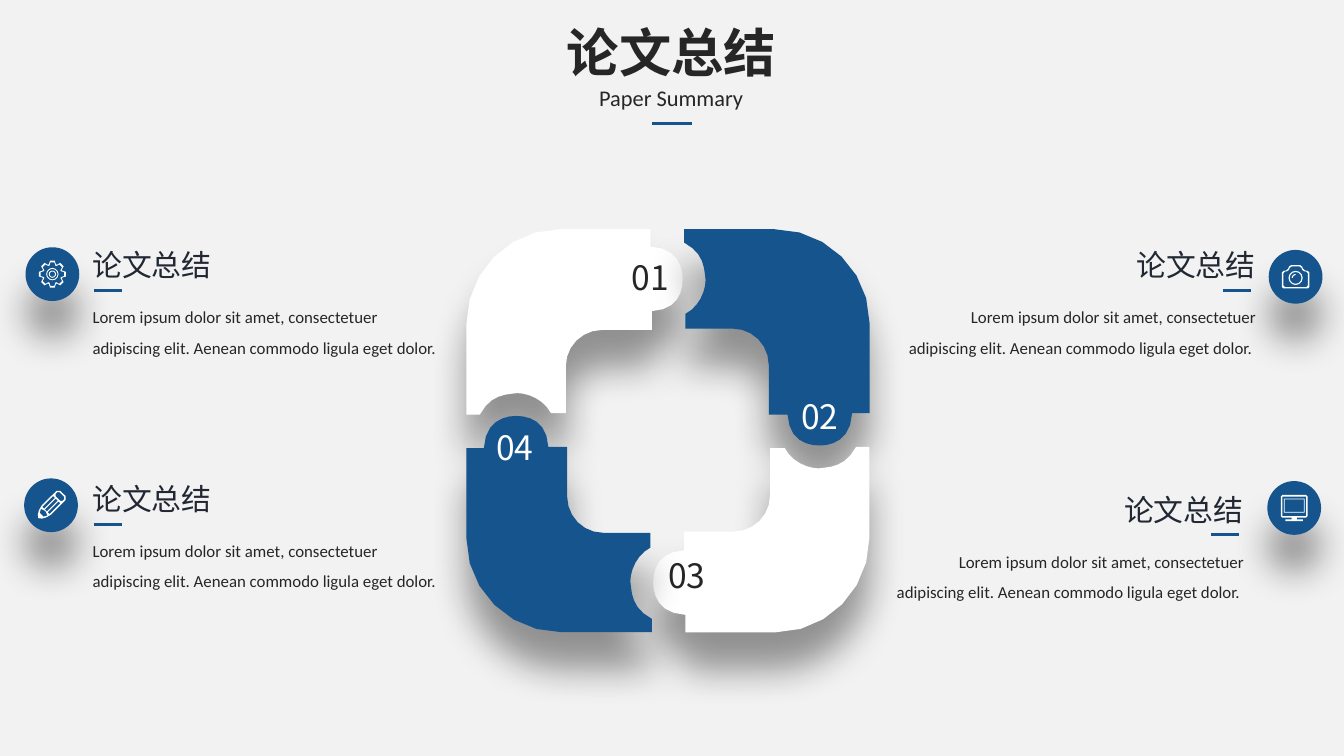
"""Builds a summary slide with a four-piece puzzle ring and four captions."""
from dataclasses import dataclass
from math import cos, radians, sin

from lxml import etree
from pptx import Presentation
from pptx.dml.color import RGBColor
from pptx.enum.shapes import MSO_CONNECTOR, MSO_SHAPE
from pptx.enum.text import MSO_ANCHOR, MSO_AUTO_SIZE, PP_ALIGN
from pptx.oxml.ns import qn
from pptx.util import Emu, Inches, Pt

LEFT, CENTER, RIGHT = PP_ALIGN.LEFT, PP_ALIGN.CENTER, PP_ALIGN.RIGHT
STRAIGHT, ELLIPSE = MSO_CONNECTOR.STRAIGHT, MSO_SHAPE.OVAL
TOP, GROW = MSO_ANCHOR.TOP, MSO_AUTO_SIZE.SHAPE_TO_FIT_TEXT
SLIDE_WIDTH = Inches(10)
COLUMNS = 100
TITLE_ONLY = 5
ARC_STEPS = 12


@dataclass(frozen=True)
class Theme:
    """Colours, fonts and type sizes of the slide."""
    paper: str = "F2F2F2"
    blue: str = "15548D"
    white: str = "FFFFFF"
    ink: str = "262626"
    slate: str = "212834"
    cjk: str = "Noto Sans CJK SC"
    latin: str = "Calibri"
    title: int = 28
    number: int = 18
    heading: int = 16
    subtitle: int = 12
    body: int = 9
    rule: float = 1.5
    shadow: int = 20


THEME = Theme()
HEADING = "论文总结"
BODY = "Lorem ipsum dolor sit amet, consectetuer adipiscing elit. Aenean commodo ligula eget dolor."
RING_CENTRE = (49.7, 32.05)
PIECE = [(-8, -15), (-1.3, -15), (-1.3, -13.7),
         (0.7, -13.6, 1.1, -12.2, 1.1, -11.3), (1.1, -10.3, 0.7, -9, -1.2, -8.9),
         (-1.2, -7.5), (-4.9, -7.5), (-6.4, -7.5, -7.6, -6.3, -7.6, -4.8),
         (-7.6, -1.3), (-8.7, -1.3), (-9.2, -2.3, -10.4, -2.8, -11.2, -2.8),
         (-12.1, -2.7, -13.2, -2.7, -14, -1.2), (-15, -1.2), (-15, -7.9),
         (-15, -11.8, -11.9, -15, -8, -15)]


def cells(count):
    """Convert grid cells to a length."""
    return Emu(round(count * SLIDE_WIDTH / COLUMNS))


def trace(steps, samples=6):
    """Turn line points and cubic curves into a list of points."""
    points = []
    for step in steps:
        if len(step) == 2:
            points.append(step)
            continue
        knots = [points[-1], step[:2], step[2:4], step[4:]]
        for index in range(1, samples + 1):
            t = index / samples
            weights = ((1 - t) ** 3, 3 * t * (1 - t) ** 2, 3 * t * t * (1 - t), t ** 3)
            points.append(tuple(sum(w * knot[axis] for w, knot in zip(weights, knots))
                                for axis in (0, 1)))
    return points


def rotate(points, degrees):
    """Turn points clockwise about the origin."""
    c, s = cos(radians(degrees)), sin(radians(degrees))
    return [(x * c - y * s, x * s + y * c) for x, y in points]


def scale(points, factor):
    """Scale points about the origin."""
    return [(x * factor, y * factor) for x, y in points]


def arc(radius, start=0, sweep=360, y=0.0):
    """List points along a circular arc, with fewer on short ones."""
    steps = max(3, ARC_STEPS * abs(sweep) // 360)
    angles = [radians(start + sweep * index / steps) for index in range(steps + 1)]
    return [(radius * cos(a), y + radius * sin(a)) for a in angles]


def beveled(corners, size=0.12):
    """Cut the corners of a polygon."""
    points = []
    for index, (x, y) in enumerate(corners):
        for nx, ny in (corners[index - 1], corners[(index + 1) % len(corners)]):
            share = min(0.5, size / ((nx - x) ** 2 + (ny - y) ** 2) ** 0.5)
            points.append((x + (nx - x) * share, y + (ny - y) * share))
    return points


def rectangle(left, top, right, bottom):
    """List the corners of a rectangle."""
    return [(left, top), (right, top), (right, bottom), (left, bottom)]


def gear_icon():
    """Describe a toothed wheel with two rings."""
    wheel = [point for tooth in range(8)
             for point in rotate([(0.72, -0.25), (0.99, -0.17), (0.99, 0.17), (0.72, 0.25)], 45 * tooth)]
    return [[scale(wheel, 1.02), scale(wheel, 0.88)],
            [arc(0.46), arc(0.39)], [arc(0.27), arc(0.2)]]


def camera_icon():
    """Describe a camera with a lens and its highlight."""
    case = beveled([(-1.03, 0.87), (-1.03, -0.42), (-0.6, -0.48), (-0.45, -0.87),
                    (0.45, -0.87), (0.6, -0.48), (1.03, -0.42), (1.03, 0.87)])
    return [[arc(0.53, y=0.08), arc(0.44, y=0.08)],
            [arc(0.29, 180, 90, 0.08) + arc(0.21, 270, -90, 0.08)],
            [case, scale(case, 0.88)]]


def pencil_icon():
    """Describe a slanted pencil."""
    outer = beveled([(-1.35, -0.12), (-0.72, -0.48), (1.25, -0.48),
                     (1.25, 0.48), (-0.72, 0.48), (-1.35, 0.12)], 0.2)
    cone = [(-1.0, -0.2), (-0.72, -0.35), (-0.6, 0), (-0.72, 0.35), (-1.0, 0.2)]
    stripes = [rectangle(-0.55, y - 0.1, 0.6, y + 0.1) for y in (-0.28, 0, 0.28)]
    contours = [outer, cone, beveled(rectangle(0.72, -0.37, 1.14, 0.37)), *stripes]
    return [[rotate(contour, -45) for contour in contours]]


def monitor_icon():
    """Describe a screen on a stand."""
    stand = [(-0.2, 0.72), (0.2, 0.72), (0.2, 0.84), (0.65, 0.84), (0.65, 0.98),
             (-0.65, 0.98), (-0.65, 0.84), (-0.2, 0.84)]
    return [[rectangle(-0.77, -0.7, 0.77, 0.35), rectangle(-0.71, -0.64, 0.71, 0.29)],
            [beveled(rectangle(-1, -0.97, 1, 0.72)), rectangle(-0.88, -0.85, 0.88, 0.6), stand]]


def paint(shape, color, shadow=False):
    """Fill a shape without outline, with an optional drop shadow."""
    shape.fill.solid()
    shape.fill.fore_color.rgb = RGBColor.from_string(color)
    shape.line.fill.background()
    shape.shadow.inherit = False
    if shadow:
        effects = shape._element.spPr.find(qn("a:effectLst"))
        reach = str(Pt(THEME.shadow))
        drop = etree.SubElement(effects, qn("a:outerShdw"), blurRad=reach, dist=reach,
                                dir="5400000", algn="t", rotWithShape="0")
        black = etree.SubElement(drop, qn("a:srgbClr"), val="000000")
        etree.SubElement(black, qn("a:alpha"), val="40000")


def add_outline(shapes, contours, centre, color, shadow=False):
    """Draw closed contours around a centre as one freeform."""
    placed = [[(cells(centre[0] + x), cells(centre[1] + y)) for x, y in contour]
              for contour in contours]
    builder = shapes.build_freeform(*placed[0][0], scale=1.0)
    for index, contour in enumerate(placed):
        if index:
            builder.move_to(*contour[0])
        builder.add_line_segments(contour[1:], close=True)
    paint(builder.convert_to_shape(), color, shadow)


def write(box, area, text, size, font, color, align=CENTER, wrap=False, bold=False, spacing=None):
    """Place a box and set its text and format."""
    box.left, box.top, box.width, box.height = map(cells, area)
    frame = box.text_frame
    frame.text = text
    frame.word_wrap, frame.auto_size, frame.vertical_anchor = wrap, GROW, TOP
    para = frame.paragraphs[0]
    para.alignment, para.line_spacing = align, spacing
    span = para.runs[0]
    span.font.name, span.font.size, span.font.bold = font, Pt(size), bold
    span.font.color.rgb = RGBColor.from_string(color)
    etree.SubElement(span._r.get_or_add_rPr(), qn("a:ea"), typeface=font)


def add_text(page, *args, **options):
    """Add a formatted text box."""
    write(page.shapes.add_textbox(0, 0, 0, 0), *args, **options)


def add_rule(page, left, right, y):
    """Draw a short horizontal accent line."""
    rule = page.shapes.add_connector(STRAIGHT, cells(left), cells(y), cells(right), cells(y))
    rule.line.color.rgb = RGBColor.from_string(THEME.blue)
    rule.line.width = Pt(THEME.rule)
    etree.SubElement(rule._element.spPr, qn("a:effectLst"))


def add_caption(page, edge, top, align):
    """Add a heading, rule and paragraph against a left or right edge."""
    on_left = align == LEFT
    width = 27.5 if on_left else 28.1
    add_text(page, (edge if on_left else edge - 11, top, 11, 3.7), HEADING,
             THEME.heading, THEME.cjk, THEME.slate, align)
    add_text(page, (edge if on_left else edge - width, top + 3.7, width, 5.3),
             BODY if on_left else BODY + " ", THEME.body, THEME.latin, THEME.ink,
             align, wrap=True, spacing=1.5)
    start = edge + 1.1 if on_left else edge - 3.4
    add_rule(page, start, start + 2.1, top + 3.7)


def add_badge(page, left, top, icon):
    """Add a shadowed disc with a white icon."""
    disc = page.shapes.add_shape(ELLIPSE, *map(cells, (left, top, 4, 4)))
    paint(disc, THEME.blue, shadow=True)
    shapes = page.shapes.add_group_shape().shapes if len(icon) > 1 else page.shapes
    for contours in icon:
        add_outline(shapes, contours, (left + 2, top + 2), THEME.white)


def main():
    """Build and save the slide."""
    deck = Presentation()
    deck.slide_width, deck.slide_height = SLIDE_WIDTH, SLIDE_WIDTH * 9 // 16
    page = deck.slides.add_slide(deck.slide_layouts[TITLE_ONLY])
    page.background.fill.solid()
    page.background.fill.fore_color.rgb = RGBColor.from_string(THEME.paper)
    write(page.shapes.title, (41.1, 1, 17.7, 5.7), HEADING, THEME.title, THEME.cjk, THEME.ink, bold=True)
    add_text(page, (43.6, 5.8, 12.7, 3), "Paper Summary", THEME.subtitle, THEME.latin, THEME.ink)
    add_rule(page, 48.5, 51.5, 9.2)
    piece = trace(PIECE)
    for index, (left, top) in enumerate([(45.8, 18.6), (58.4, 29), (48.5, 40.8), (35.7, 31.3)]):
        fill, ink = ((THEME.white, THEME.ink), (THEME.blue, THEME.white))[index % 2]
        add_outline(page.shapes, [rotate(piece, 90 * index)], RING_CENTRE, fill, shadow=True)
        add_text(page, (left, top, 5.2, 4), f"{index + 1:02}", THEME.number, THEME.cjk, ink, wrap=True)
    for edge, top, align in ((5.9, 17.9, LEFT), (5.9, 35.3, LEFT), (93.5, 36.1, RIGHT), (94.4, 17.9, RIGHT)):
        add_caption(page, edge, top, align)
    for left, top, icon in ((1.9, 18.4, gear_icon()), (1.8, 35.6, pencil_icon()),
                            (94.4, 18.6, camera_icon()), (94.3, 35.8, monitor_icon())):
        add_badge(page, left, top, icon)
    deck.save("out.pptx")


if __name__ == "__main__":
    main()
